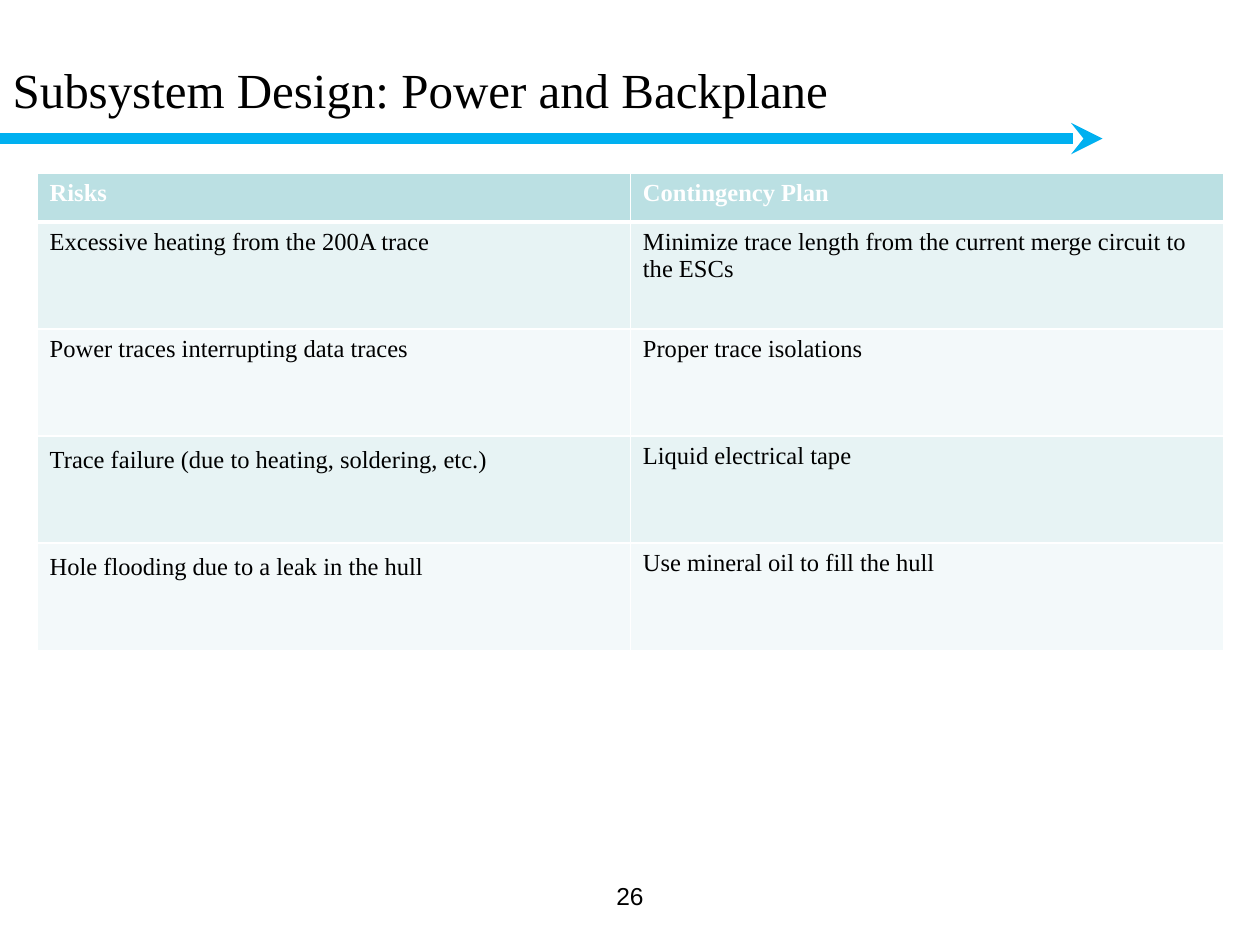
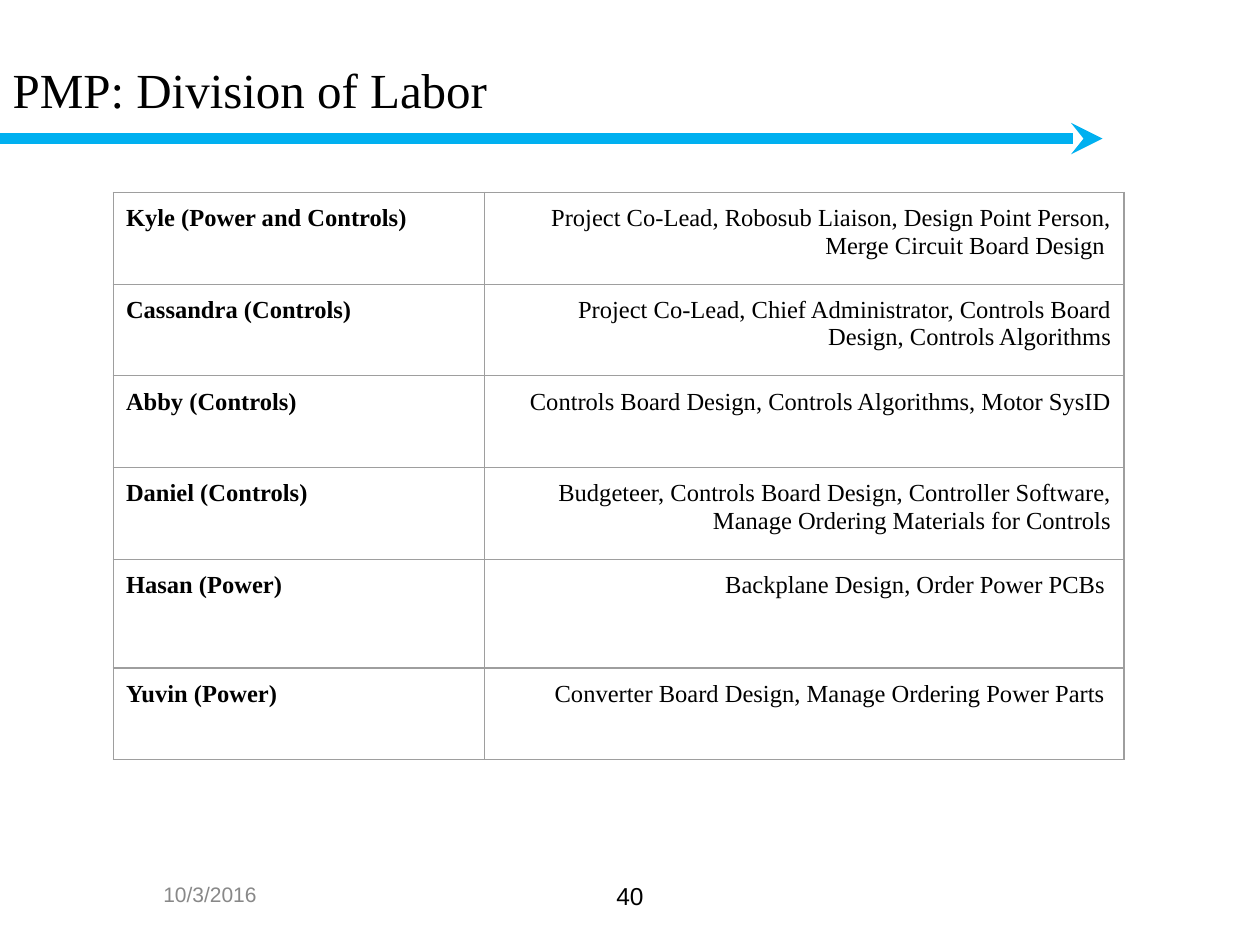
import pptx
import pptx.dml.color
import pptx.enum.shapes
import pptx.enum.text
import pptx.oxml
import pptx.oxml.ns
import pptx.util
from lxml import etree

Pt = pptx.util.Pt
ALIGN = pptx.enum.text.PP_ALIGN
ANCHOR = pptx.enum.text.MSO_ANCHOR

COLORS = {
    "text": "000000",
    "white": "FFFFFF",
    "arrow": "00B0F0",
    "date": "888888",
    "header": "BBE0E3",
    "odd_row": "E7F3F4",
    "even_row": "F3F9FA",
    "grid": "9E9E9E",
}
SERIF = "Times New Roman"
SANS = "Arial"


def color(name):
    return pptx.dml.color.RGBColor.from_string(COLORS[name])


class Deck:
    def __init__(self):
        self.presentation = pptx.Presentation()
        self.presentation.slide_width = Pt(720)
        self.presentation.slide_height = Pt(540)
        self.slide = None

    def add_slide(self, title, number):
        layout = self.presentation.slide_layouts[5]
        self.slide = self.presentation.slides.add_slide(layout)
        self.arrow()
        self.title(title)
        self.footer(number, 276, 500, 14, "text", ANCHOR.TOP)

    def style(self, paragraph, font, size, tint, align=ALIGN.LEFT, bold=False):
        paragraph.alignment = align
        paragraph.font.name = font
        paragraph.font.size = Pt(size)
        paragraph.font.bold = bold
        paragraph.font.color.rgb = color(tint)

    def title(self, text):
        heading = self.slide.shapes.title
        heading.left, heading.top = Pt(0), Pt(6)
        heading.width, heading.height = Pt(648), Pt(90)
        frame = heading.text_frame
        frame.text = text
        frame.auto_size = pptx.enum.text.MSO_AUTO_SIZE.NONE
        frame.vertical_anchor = ANCHOR.MIDDLE
        self.style(frame.paragraphs[0], SERIF, 28, "text")

    def arrow(self):
        arrow = self.slide.shapes.add_connector(
            pptx.enum.shapes.MSO_CONNECTOR.STRAIGHT, Pt(0), Pt(79.2), Pt(630), Pt(79.2))
        arrow.line.color.rgb = color("arrow")
        arrow.line.width = Pt(6)
        qn = pptx.oxml.ns.qn
        properties = arrow.line._get_or_add_ln()
        etree.SubElement(properties, qn("a:tailEnd"), type="stealth")
        etree.SubElement(properties.getparent(), qn("a:effectLst"))

    def footer(self, text, left, top, size, tint, anchor):
        box = self.slide.shapes.add_textbox(Pt(left), Pt(top), Pt(168), Pt(37.5))
        frame = box.text_frame
        frame.word_wrap = True
        frame.vertical_anchor = anchor
        frame.text = text
        self.style(frame.paragraphs[0], SANS, size, tint, ALIGN.CENTER)

    def table(self, left, top, widths, heights):
        table = self.slide.shapes.add_table(
            len(heights), len(widths), Pt(left), Pt(top),
            Pt(sum(widths)), Pt(sum(heights))).table
        table.first_row = False
        table.horz_banding = False
        for column, width in zip(table.columns, widths):
            column.width = Pt(width)
        for row, height in zip(table.rows, heights):
            row.height = Pt(height)
        return table

    def cell(self, cell, text, border, margin, fill=None, tint="text",
             align=ALIGN.LEFT, bold=False, top=1, bottom=1):
        cell.margin_left = cell.margin_right = Pt(7.2)
        cell.margin_top = cell.margin_bottom = Pt(margin)
        cell.text = text
        self.style(cell.text_frame.paragraphs[0], SERIF, 14, tint, align, bold)
        self.borders(cell, border, {"L": 1, "R": 1, "T": top, "B": bottom})
        if fill:
            cell.fill.solid()
            cell.fill.fore_color.rgb = color(fill)
        else:
            cell.fill.background()

    def borders(self, cell, tint, widths):
        properties = cell._tc.get_or_add_tcPr()
        for side, width in widths.items():
            properties.append(pptx.oxml.parse_xml(
                f'<a:ln{side} {pptx.oxml.ns.nsdecls("a")} w="{Pt(width)}">'
                f'<a:solidFill><a:srgbClr val="{COLORS[tint]}"/></a:solidFill>'
                f'</a:ln{side}>'))


def add_risks(deck):
    deck.add_slide("Subsystem Design: Power and Backplane", "26")
    risks = [
        ("Risks", "Contingency Plan"),
        ("Excessive heating from the 200A trace",
         "Minimize trace length from the current merge circuit to the ESCs"),
        ("Power traces interrupting data traces", "Proper trace isolations"),
        ("Trace failure (due to heating, soldering, etc.)", "Liquid electrical tape"),
        ("Hole flooding due to a leak in the hull", "Use mineral oil to fill the hull"),
    ]
    table = deck.table(21.2, 99, [339] * 2, [27.8] + [61.2] * 4)
    for row, entries in enumerate(risks):
        for column, text in enumerate(entries):
            cell = table.cell(row, column)
            if row == 0:
                deck.cell(cell, text, "white", 3.6, "header", "white", bold=True, bottom=3)
            else:
                band = "odd_row" if row % 2 else "even_row"
                deck.cell(cell, text, "white", 3.6, band, top=3 if row == 1 else 1)
    for row in (3, 4):
        table.cell(row, 0).text_frame.paragraphs[0].line_spacing = 1.15


def add_division_of_labor(deck):
    deck.add_slide("PMP: Division of Labor", "40")
    deck.footer("10/3/2016", 36, 492, 12, "date", ANCHOR.MIDDLE)
    members = [
        ("Kyle (Power and Controls)",
         "Project Co-Lead, Robosub Liaison, Design Point Person, Merge Circuit Board Design "),
        ("Cassandra (Controls)",
         "Project Co-Lead, Chief Administrator, Controls Board Design, Controls Algorithms"),
        ("Abby (Controls)", "Controls Board Design, Controls Algorithms, Motor SysID"),
        ("Daniel (Controls)",
         "Budgeteer, Controls Board Design, Controller Software, "
         "Manage Ordering Materials for Controls"),
        ("Hasan (Power)", "Backplane Design, Order Power PCBs "),
        ("Yuvin (Power)", "Converter Board Design, Manage Ordering Power Parts "),
    ]
    table = deck.table(64.8, 110, [212, 365.5], [52.4] * 4 + [62.2, 52.4])
    for row, (member, duties) in enumerate(members):
        deck.cell(table.cell(row, 0), member, "grid", 7.2, bold=True, top=0.75, bottom=0.75)
        deck.cell(table.cell(row, 1), duties, "grid", 7.2, align=ALIGN.RIGHT,
                  top=0.75, bottom=0.75)


def main():
    deck = Deck()
    add_risks(deck)
    add_division_of_labor(deck)
    deck.presentation.save("out.pptx")


if __name__ == "__main__":
    main()
